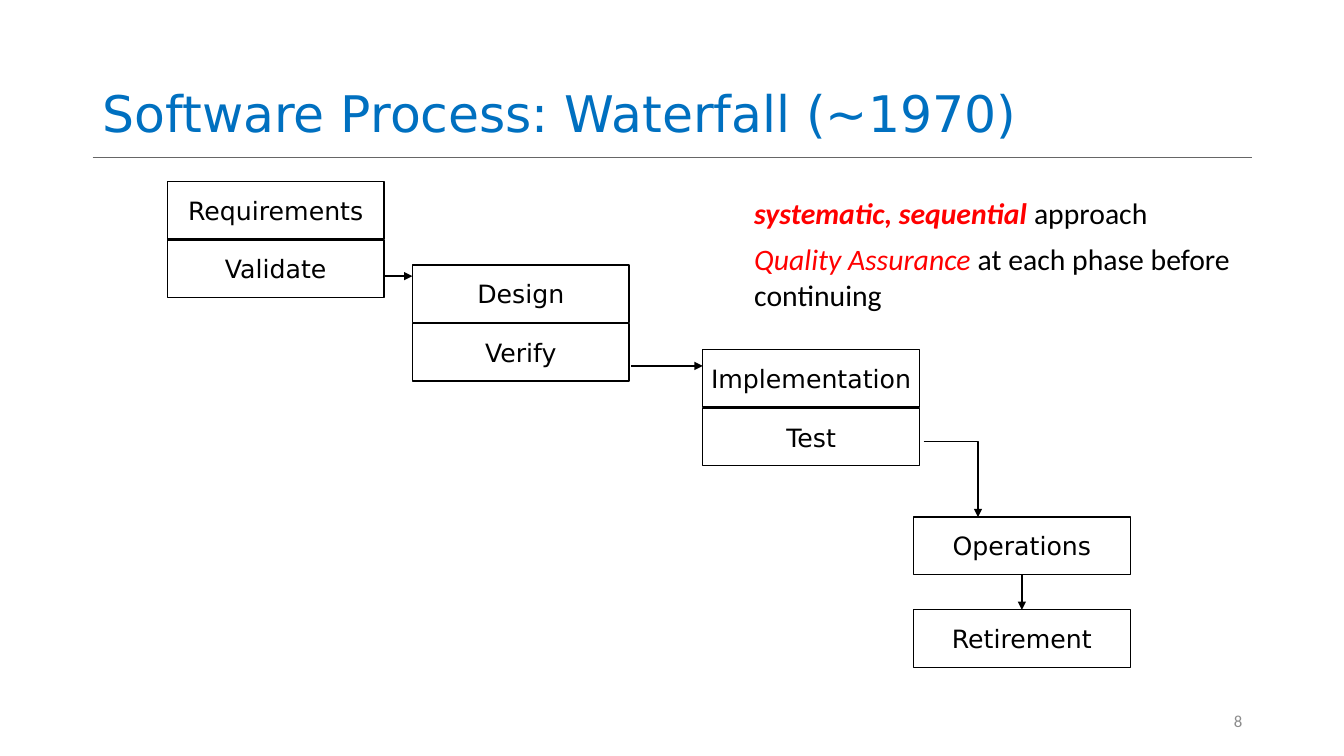
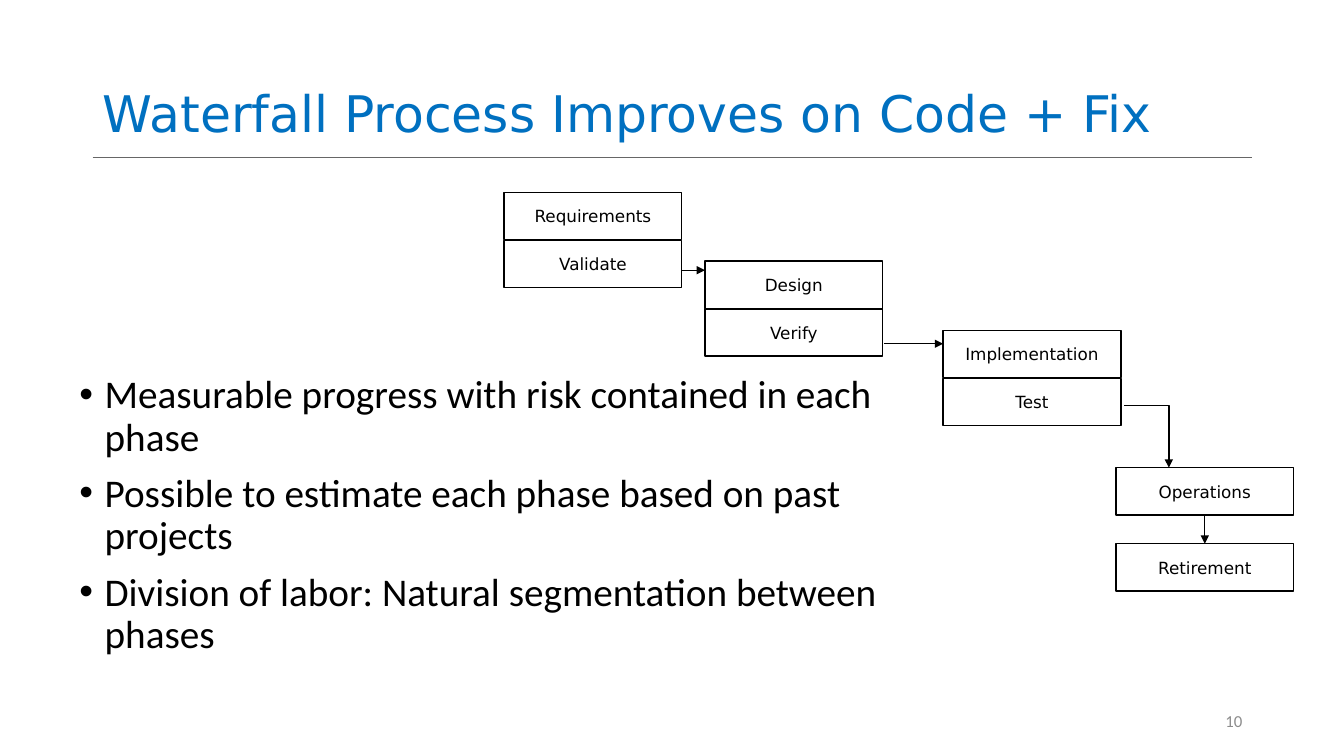
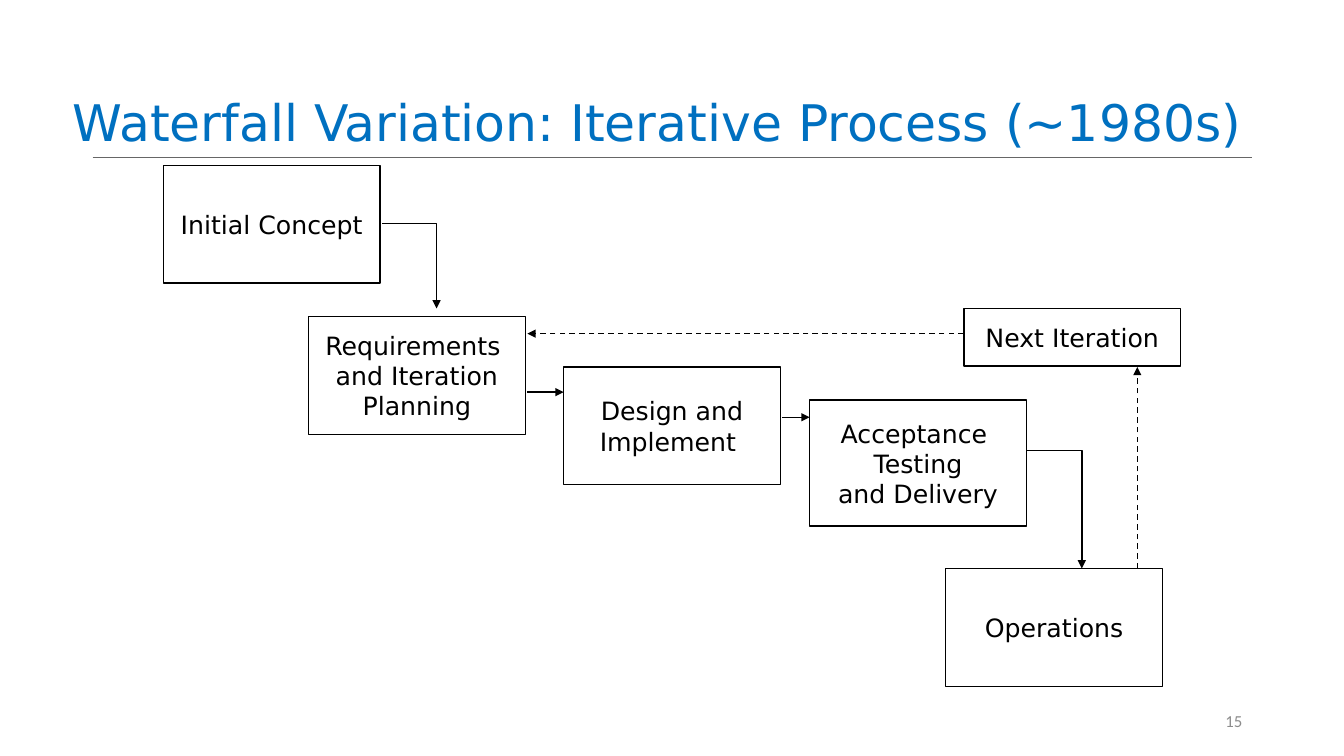
import pptx
import pptx.dml.color
import pptx.enum.dml
import pptx.enum.shapes
import pptx.enum.text
import pptx.oxml
import pptx.oxml.ns
import pptx.util

Inches = pptx.util.Inches
Pt = pptx.util.Pt
ALIGN = pptx.enum.text.PP_ALIGN
ANCHOR = pptx.enum.text.MSO_ANCHOR
NAMESPACE = pptx.oxml.ns.nsdecls("a")

COLORS = {"title": "0070C0", "rule": "666666", "number": "8C8C8C",
          "ink": "000000", "paper": "FFFFFF", "accent": "FF0000"}
HEADING_FONT, BODY_FONT = "DejaVu Sans", "Calibri"
TITLE_PLACE = (0.92, 0.02, 11.5, 1.45)
BOX_WIDTH, BOX_HEIGHT = 2.15, 0.57
TALL_HEIGHT = 1.17
PHASE_STEP = 0.58

# Phase names with offsets from the top left of the waterfall
WATERFALL = [(("Requirements", "Validate"), 0, 0),
             (("Design", "Verify"), 2.43, 0.83),
             (("Implementation", "Test"), 5.31, 1.67),
             (("Operations",), 7.4, 3.33),
             (("Retirement",), 7.4, 4.25)]
WATERFALL_ARROWS = [[(2.15, 0.94), (2.43, 0.94)],
                    [(4.6, 1.83), (5.31, 1.83)],
                    [(7.5, 2.58), (8.04, 2.58), (8.04, 3.33)]]


def rgb(name):
    return pptx.dml.color.RGBColor.from_string(COLORS[name])


def assign(target, **values):
    for name, value in values.items():
        setattr(target, name, value)


def write(frame, paragraphs, size, font=BODY_FONT, color="ink",
          insets=(0.1, 0.05, 0.1, 0.05), bullet=False, wrap=True,
          anchor=ANCHOR.MIDDLE, **layout):
    """Fill a frame; each paragraph is a string or a list of (text, format) runs."""
    left, top, right, bottom = map(Inches, insets)
    assign(frame, auto_size=pptx.enum.text.MSO_AUTO_SIZE.NONE,
           word_wrap=wrap, vertical_anchor=anchor, margin_left=left,
           margin_top=top, margin_right=right, margin_bottom=bottom)
    for index, content in enumerate(paragraphs):
        paragraph = frame.add_paragraph() if index else frame.paragraphs[0]
        if bullet:
            add_bullet(paragraph)
            if index:
                paragraph.space_before = Pt(10)
        assign(paragraph, **layout)
        runs = [(content, {})] if isinstance(content, str) else content
        for text, changes in runs:
            style = {"color": color, **changes}
            run = paragraph.add_run()
            run.text = text
            run.font.color.rgb = rgb(style.pop("color"))
            assign(run.font, name=font, size=Pt(size), **style)


def add_bullet(paragraph):
    properties = paragraph._p.get_or_add_pPr()
    properties.set("marL", str(Inches(0.25)))
    properties.set("indent", str(-Inches(0.25)))
    properties.append(pptx.oxml.parse_xml(f'<a:buFont {NAMESPACE} typeface="Arial"/>'))
    properties.append(pptx.oxml.parse_xml(f'<a:buChar {NAMESPACE} char="•"/>'))


def add_text(slide, place, paragraphs, size, **options):
    box = slide.shapes.add_textbox(*map(Inches, place))
    write(box.text_frame, paragraphs, size, **options)


def add_box(slide, lines, left, top, width=BOX_WIDTH, height=BOX_HEIGHT, size=18):
    box = slide.shapes.add_shape(pptx.enum.shapes.MSO_SHAPE.RECTANGLE,
                                 *map(Inches, (left, top, width, height)))
    box.shadow.inherit = False
    box.fill.solid()
    box.fill.fore_color.rgb = rgb("paper")
    box.line.color.rgb = rgb("ink")
    box.line.width = Pt(1)
    write(box.text_frame, lines, size, font=HEADING_FONT, wrap=False,
          alignment=ALIGN.CENTER)
    return box


def add_line(slide, start, end, color="ink", width=1):
    line = slide.shapes.add_connector(pptx.enum.shapes.MSO_CONNECTOR.STRAIGHT,
                                      *map(Inches, (*start, *end)))
    line.line.color.rgb = rgb(color)
    line.line.width = Pt(width)
    line.element.spPr.append(pptx.oxml.parse_xml(f"<a:effectLst {NAMESPACE}/>"))
    return line


def add_arrow(slide, points, dashed=False):
    """Draw a straight arrow through two points, or a bent one through more."""
    if len(points) == 2:
        arrow = add_line(slide, *points)
    else:
        start, *bends = [tuple(map(Inches, point)) for point in points]
        builder = slide.shapes.build_freeform(*start)
        builder.add_line_segments(bends, close=False)
        arrow = builder.convert_to_shape()
        arrow.shadow.inherit = False
        arrow.fill.background()
        arrow.line.color.rgb = rgb("ink")
        arrow.line.width = Pt(1)
    if dashed:
        arrow.line.dash_style = pptx.enum.dml.MSO_LINE.DASH
    outline = arrow.element.spPr.find(pptx.oxml.ns.qn("a:ln"))
    outline.append(pptx.oxml.parse_xml(f'<a:tailEnd {NAMESPACE} type="triangle"/>'))
    return arrow


def add_slide(deck, title, number, title_place=TITLE_PLACE):
    slide = deck.slides.add_slide(deck.slide_layouts[5])
    add_line(slide, (0.92, 1.56), (12.42, 1.56), color="rule", width=0.5)
    left, top, width, height = map(Inches, title_place)
    assign(slide.shapes.title, left=left, top=top, width=width, height=height)
    write(slide.shapes.title.text_frame, [title], 36, font=HEADING_FONT,
          color="title", anchor=ANCHOR.BOTTOM, alignment=ALIGN.LEFT,
          line_spacing=0.9)
    add_text(slide, (9.42, 6.95, 3, 0.4), [str(number)], 12, color="number",
             alignment=ALIGN.RIGHT)
    return slide


def add_waterfall(slide, left, top, scale, size):
    def place(x, y):
        return left + x * scale, top + y * scale

    boxes = {}
    for phases, x, y in WATERFALL:
        for row, phase in enumerate(phases):
            boxes[phase] = add_box(slide, [phase], *place(x, y + row * PHASE_STEP),
                                   BOX_WIDTH * scale, BOX_HEIGHT * scale, size)
    for points in WATERFALL_ARROWS:
        add_arrow(slide, [place(*point) for point in points])
    retire = add_arrow(slide, [place(8.48, 3.9), place(8.48, 4.25)])
    retire.begin_connect(boxes["Operations"], 2)
    retire.end_connect(boxes["Retirement"], 0)


def add_waterfall_slide(deck):
    slide = add_slide(deck, "Software Process: Waterfall (~1970)", 8)
    emphasis = {"color": "accent", "italic": True}
    remarks = [
        (1.89, 0.44, [("systematic, sequential ", {**emphasis, "bold": True}),
                      ("approach", {})]),
        (2.35, 0.79, [("Quality Assurance ", emphasis),
                      ("at each phase before continuing", {})])]
    for top, height, remark in remarks:
        add_text(slide, (7.44, top, 4.98, height), [remark], 21.2, insets=[0.04] * 4)
    add_waterfall(slide, 1.66, 1.8, scale=1, size=18)


def add_improvement_slide(deck):
    slide = add_slide(deck, "Waterfall Process Improves on Code + Fix", 10)
    benefits = ["Measurable progress with risk contained in each phase",
                "Possible to estimate each phase based on past projects",
                "Division of labor: Natural segmentation between phases"]
    add_text(slide, (0.69, 3.67, 8.63, 2.97), benefits, 28, bullet=True,
             anchor=ANCHOR.TOP, line_spacing=0.9)
    add_waterfall(slide, 5, 1.91, scale=0.82, size=12)


def add_iterative_slide(deck):
    slide = add_slide(deck, "Waterfall Variation: Iterative Process (~1980s)", 15,
                      title_place=(0.62, 0.11, 12.1, 1.45))
    steps = [(["Initial Concept"], 1.62, 1.64, TALL_HEIGHT),
             (["Requirements ", "and Iteration", "Planning"], 3.06, 3.14, TALL_HEIGHT),
             (["Design and", "Implement "], 5.59, 3.64, TALL_HEIGHT),
             (["Acceptance ", "Testing", "and Delivery"], 8.03, 3.97, 1.25),
             (["Operations"], 9.38, 5.64, TALL_HEIGHT),
             (["Next Iteration"], 9.56, 3.06, BOX_HEIGHT)]
    for lines, left, top, height in steps:
        add_box(slide, lines, left, top, height=height)
    forward = [[(3.79, 2.22), (4.33, 2.22), (4.33, 3.06)],
               [(5.23, 3.89), (5.59, 3.89)],
               [(7.76, 4.14), (8.03, 4.14)],
               [(10.19, 4.47), (10.73, 4.47), (10.73, 5.64)]]
    feedback = [[(11.28, 5.64), (11.28, 3.64)],
                [(9.56, 3.31), (5.23, 3.31)]]
    for points in forward:
        add_arrow(slide, points)
    for points in feedback:
        add_arrow(slide, points, dashed=True)


def main():
    deck = pptx.Presentation()
    assign(deck, slide_width=Inches(13.33), slide_height=Inches(7.5))
    add_waterfall_slide(deck)
    add_improvement_slide(deck)
    add_iterative_slide(deck)
    deck.save("out.pptx")


if __name__ == "__main__":
    main()
